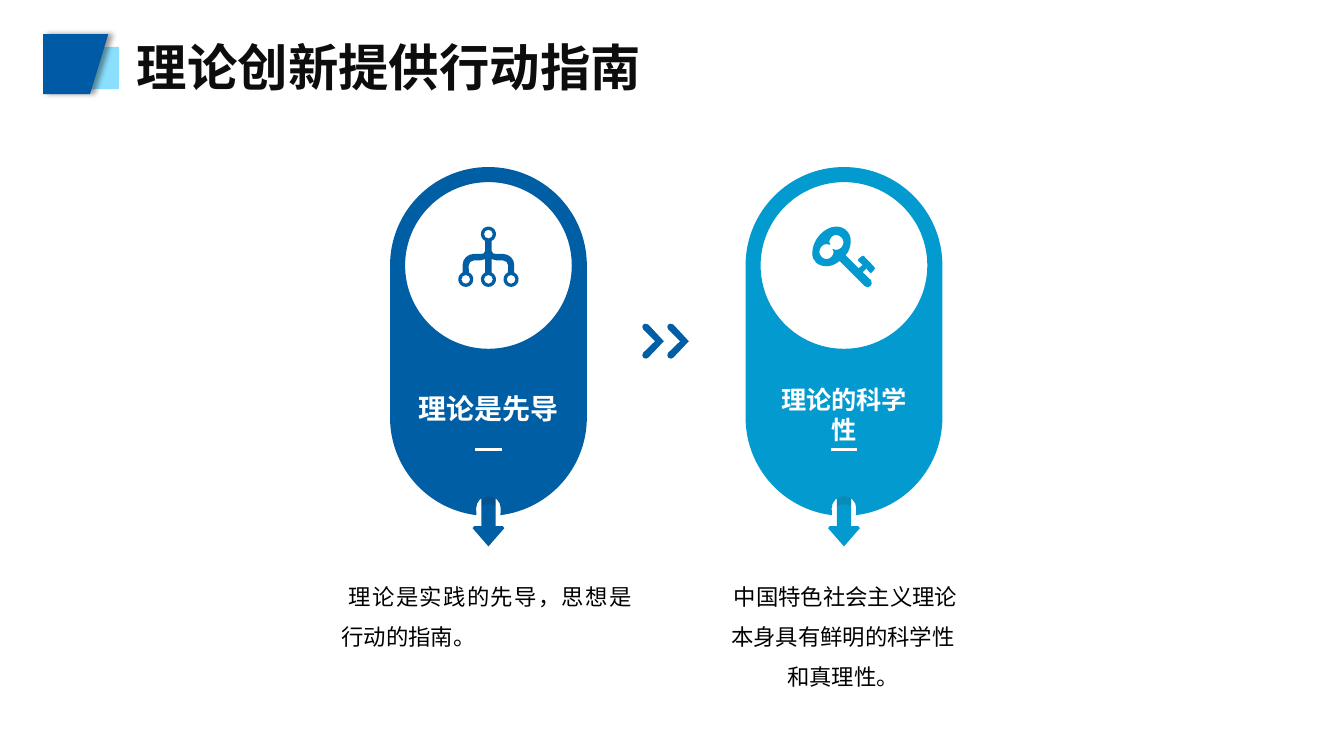
"""Build a slide with two linked capsules on theory guiding action."""
import math
from dataclasses import dataclass

import pptx
import pptx.dml.color
import pptx.enum.shapes
import pptx.enum.text
import pptx.oxml
import pptx.oxml.ns
import pptx.util
from pptx.util import Cm


@dataclass(frozen=True)
class Theme:
    header: str = "005AA6"
    accent: str = "89DFFD"
    blue: str = "005EA4"
    cyan: str = "039ACF"
    title: str = "0D0D0D"
    body: str = "000000"
    white: str = "FFFFFF"
    shades: tuple = ("231815", "333333")
    heading_font: str = "Arial"
    font: str = "Noto Sans CJK SC"
    title_size: int = 36
    heading_sizes: tuple = (20, 18)
    body_size: int = 16


theme = Theme()
color = pptx.dml.color.RGBColor.from_string
qualified = pptx.oxml.ns.qn
namespace = 'xmlns:a="http://schemas.openxmlformats.org/drawingml/2006/main"'
presentation = pptx.Presentation()
presentation.slide_width = Cm(33.87)
presentation.slide_height = Cm(19.05)
slide = presentation.slides.add_slide(presentation.slide_layouts[6])


def arc(x, y, radius, start, end):
    """Return a start point and cubic curves along an arc given in degrees."""
    count = math.ceil(abs(end - start) / 90)
    turn = math.radians(end - start) / count
    pull = 4 / 3 * math.tan(turn / 4)
    steps = []
    for i in range(count + 1):
        angle = math.radians(start) + turn * i
        cos, sin = radius * math.cos(angle), radius * math.sin(angle)
        if i:
            steps.append((*leave, x + cos + pull * sin, y + sin - pull * cos, x + cos, y + sin))
        else:
            steps.append((x + cos, y + sin))
        leave = (x + cos - pull * sin, y + sin + pull * cos)
    return steps


def trace(outlines, fill, left=0, top=0):
    """Draw closed outlines made of points and six-number cubic curves."""
    builder = None
    for outline in outlines:
        points = [(Cm(left + step[i]), Cm(top + step[i + 1]))
                  for step in outline for i in range(0, len(step), 2)]
        if builder is None:
            builder = slide.shapes.build_freeform(*points[0], scale=1.0)
        else:
            builder.move_to(*points[0])
        builder.add_line_segments(points[1:], close=True)
    shape = builder.convert_to_shape()
    lines = iter(list(shape._element.iter(qualified("a:lnTo"))))
    for step in (step for outline in outlines for step in outline[1:]):
        group = [next(lines) for _ in range(len(step) // 2)]
        if len(group) == 3:
            curve = pptx.oxml.parse_xml(f"<a:cubicBezTo {namespace}/>")
            group[0].addprevious(curve)
            for line in group:
                curve.append(line[0])
                line.getparent().remove(line)
    shape.shadow.inherit = False
    shape.fill.solid()
    shape.fill.fore_color.rgb = color(fill)
    shape.line.fill.background()
    return shape


header_back = slide.shapes.add_shape(
    pptx.enum.shapes.MSO_SHAPE.RECTANGLE, Cm(1.75), Cm(1.18), Cm(1.25), Cm(1.07))
header_back.shadow.inherit = False
header_back.fill.solid()
header_back.fill.fore_color.rgb = color(theme.accent)
header_back.line.fill.background()

header_front = trace([[(0, 0), (1.64, 0), (1.18, 1.51), (0, 1.51)]], theme.header, 1.09, 0.86)
effects = header_front._element.spPr.find(qualified("a:effectLst"))
effects.append(pptx.oxml.parse_xml(
    f'<a:outerShdw {namespace} blurRad="50800" dist="38100" dir="0">'
    '<a:srgbClr val="000000"><a:alpha val="40000"/></a:srgbClr></a:outerShdw>'))

chevron = [
    (0.10, 0.89), (0.08, 0.89, 0.05, 0.88, 0.03, 0.86), (0, 0.84, 0, 0.78, 0.03, 0.74),
    (0.33, 0.45), (0.03, 0.15), (0, 0.12, 0, 0.05, 0.03, 0.03),
    (0.06, 0, 0.11, 0, 0.16, 0.03), (0.55, 0.45), (0.16, 0.86),
    (0.14, 0.88, 0.12, 0.89, 0.10, 0.89)]
for left in (16.81, 16.18):
    trace([chevron], theme.blue, left, 8.15)

arrow = [(0.18, 5.78), (0.18, 6.57), (0.36, 6.57), (0.40, 6.62), (0, 7.08),
         (-0.40, 6.62), (-0.36, 6.57), (-0.18, 6.57), (-0.18, 5.78)]
arrow_shade = [(0.18, 5.78), (0.18, 6.06), (0.12, 6.04, 0.06, 6.01, 0, 6.01),
               (-0.06, 6.01, -0.12, 6.04, -0.18, 6.06), (-0.18, 5.78)]
capsule = [
    arc(0, 0, 2.48, 180, 360) + arc(0, 3.83, 2.48, 0, 83)
    + arc(0, 6.12, 0.31, 0, -180) + arc(0, 3.83, 2.48, 97, 180),
    arc(0, 0, 2.1, 0, 360)]

tree_half = (
    arc(0, -0.79, 0.19, -90, 65) + [(0.08, -0.37), (0.08, -0.3, 0.14, -0.29, 0.2, -0.29)]
    + arc(0.37, -0.01, 0.28, -90, 0) + arc(0.57, 0.35, 0.19, -65, 245)
    + arc(0.36, 0.01, 0.14, 0, -90) + [(0.2, -0.13), (0.08, -0.16)]
    + arc(0, 0.35, 0.19, -65, 90))
tree_mirror = []
for before, step in zip(tree_half[-2::-1], tree_half[:0:-1]):
    controls = (-step[2], step[3], -step[0], step[1]) if len(step) == 6 else ()
    tree_mirror.append((*controls, -before[-2], before[-1]))
tree_nodes = [(0, -0.79), (-0.57, 0.35), (0, 0.35), (0.57, 0.35)]
tree = [tree_half + tree_mirror] + [arc(x, y, 0.11, 0, 360) for x, y in tree_nodes]

key = [
    [(0.68, 0.19), (0.65, 0.19, 0.57, 0.09, 0.57, 0.07), (0.47, 0.17), (0.68, 0.37),
     (0.68, 0.40, 0.70, 0.42, 0.70, 0.45), (0.70, 0.50, 0.65, 0.55, 0.60, 0.55),
     (0.57, 0.55, 0.55, 0.55, 0.52, 0.52), (-0.11, -0.11),
     (-0.21, -0.04, -0.31, 0.02, -0.44, 0.02), (-0.65, 0.02, -0.80, -0.11, -0.80, -0.31),
     (-0.80, -0.65, -0.49, -0.98, -0.19, -0.98), (0.02, -0.98, 0.17, -0.82, 0.17, -0.62),
     (0.17, -0.47, 0.12, -0.34, 0.04, -0.26), (0.37, 0.07), (0.47, -0.01),
     (0.45, -0.04, 0.35, -0.11, 0.35, -0.14), (0.35, -0.16, 0.45, -0.24, 0.47, -0.24),
     (0.50, -0.24), (0.52, -0.21, 0.78, 0.04, 0.78, 0.07),
     (0.78, 0.09, 0.70, 0.19, 0.68, 0.19)],
    [(-0.21, -0.77), (-0.29, -0.77, -0.37, -0.67, -0.37, -0.59),
     (-0.37, -0.57, -0.37, -0.54, -0.34, -0.52), (-0.39, -0.52, -0.42, -0.54, -0.44, -0.54),
     (-0.54, -0.54, -0.62, -0.44, -0.62, -0.34), (-0.62, -0.26, -0.54, -0.16, -0.44, -0.16),
     (-0.34, -0.16, -0.26, -0.26, -0.26, -0.34), (-0.26, -0.37, -0.26, -0.39, -0.29, -0.42),
     (-0.26, -0.42, -0.24, -0.39, -0.21, -0.39), (-0.09, -0.39, -0.01, -0.49, -0.01, -0.59),
     (-0.01, -0.67, -0.09, -0.77, -0.21, -0.77)]]

columns = [(12.31, theme.blue, theme.shades[0], tree), (21.27, theme.cyan, theme.shades[1], key)]
for center, fill, shade_fill, icon in columns:
    trace([arrow], fill, center, 6.69)
    shade = trace([arrow_shade], shade_fill, center, 6.69)
    shade_color = shade._element.spPr.find(".//" + qualified("a:srgbClr"))
    shade_color.append(pptx.oxml.parse_xml(f'<a:alpha {namespace} val="15000"/>'))
    trace(capsule, fill, center, 6.69)
    trace(icon, fill, center, 6.69)
    divider = slide.shapes.add_connector(
        pptx.enum.shapes.MSO_CONNECTOR.STRAIGHT,
        Cm(center - 0.33), Cm(11.33), Cm(center + 0.33), Cm(11.33))
    divider.line.color.rgb = color(theme.white)
    divider.line.width = pptx.util.Pt(1.75)
    divider._element.spPr.append(pptx.oxml.parse_xml(f"<a:effectLst {namespace}/>"))

align = pptx.enum.text.PP_ALIGN
title_style = (theme.title_size, theme.font, theme.title, True)
heading_styles = [(size, theme.heading_font, theme.white, True) for size in theme.heading_sizes]
body_style = (theme.body_size, theme.font, theme.body, False)
texts = [
    ("理论创新提供行动指南", (3.2, 0.79, 13.21, 1.8), title_style, align.LEFT, 1, 0),
    ("理论是先导", (10.21, 9.73, 4.19, 1.12), heading_styles[0], align.CENTER, 1, 0),
    ("理论的科学性", (19.18, 9.55, 4.19, 1.8), heading_styles[1], align.CENTER, 1, 0),
    ("理论是实践的先导，思想是行动的指南。",
     (8.36, 14.22, 7.82, 2.31), body_style, align.JUSTIFY, 1.5, 0.18),
    ("中国特色社会主义理论本身具有鲜明的科学性和真理性。",
     (18.03, 14.22, 6.43, 3.33), body_style, align.CENTER, 1.5, 0.13)]
for text, box, (size, font, ink, bold), alignment, spacing, indent in texts:
    text_frame = slide.shapes.add_textbox(*map(Cm, box)).text_frame
    text_frame.word_wrap = size != theme.title_size
    text_frame.auto_size = pptx.enum.text.MSO_AUTO_SIZE.SHAPE_TO_FIT_TEXT
    text_frame.text = text
    paragraph = text_frame.paragraphs[0]
    paragraph.alignment = alignment
    paragraph.line_spacing = float(spacing)
    paragraph._p.get_or_add_pPr().set("indent", str(Cm(indent)))
    run = paragraph.runs[0]
    run.font.size = pptx.util.Pt(size)
    run.font.name = font
    run.font.bold = bold
    run.font.color.rgb = color(ink)
    run.font._element.find(qualified("a:latin")).addnext(
        pptx.oxml.parse_xml(f'<a:ea {namespace} typeface="{theme.font}"/>'))

presentation.save("out.pptx")
